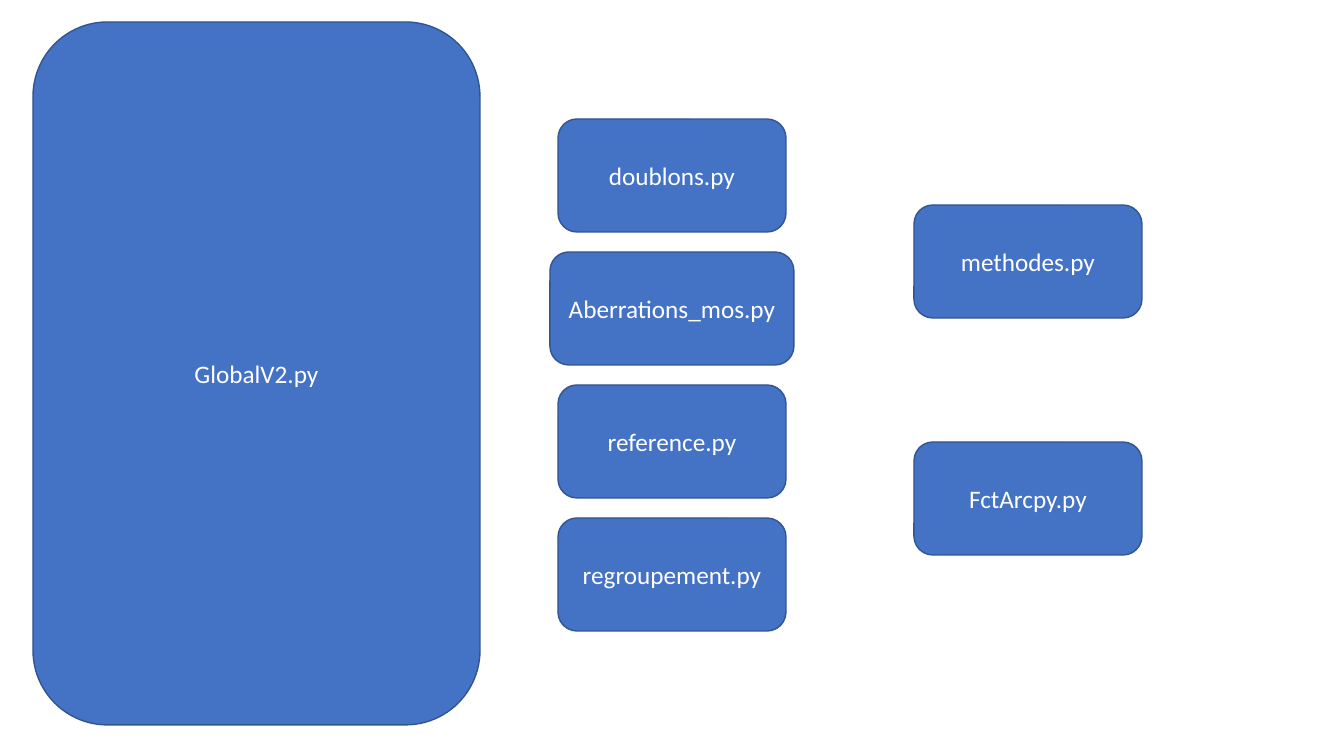
from pptx import Presentation
from pptx import util as u
from pptx.dml.color import RGBColor
from pptx.enum import shapes, text

PIXEL = 914400 / 100.8
SLIDE_WIDTH, SLIDE_HEIGHT = 1344, 756
BLANK_LAYOUT = 6

BLUE = RGBColor(0x44, 0x72, 0xC4)
DARK_BLUE = RGBColor(0x32, 0x54, 0x91)
WHITE = RGBColor(0xFF, 0xFF, 0xFF)

MODULE_WIDTH, WIDE_MODULE_WIDTH, MODULE_HEIGHT = 228, 244, 113
STEP_TOP, STEP_PITCH = 119, 133
STEP_CENTER = SLIDE_WIDTH // 2
HELPER_LEFT, HELPER_TOP, HELPER_PITCH = 914, 205, 237

STEPS = [
    ("doublons.py", MODULE_WIDTH),
    ("Aberrations_mos.py", WIDE_MODULE_WIDTH),
    ("reference.py", MODULE_WIDTH),
    ("regroupement.py", MODULE_WIDTH),
]
HELPERS = ["methodes.py", "FctArcpy.py"]


def px(pixels):
    """Turn pixels into EMU."""
    return u.Emu(round(pixels * PIXEL))


def write_text(shape, content, *, size=18, font="Calibri", color=WHITE,
               align=text.PP_ALIGN.CENTER, anchor=text.MSO_ANCHOR.MIDDLE):
    """Write one formatted paragraph into a shape."""
    frame = shape.text_frame
    frame.word_wrap = True
    frame.vertical_anchor = anchor
    paragraph = frame.paragraphs[0]
    paragraph.alignment = align
    run = paragraph.add_run()
    run.text = content
    run.font.size = u.Pt(size)
    run.font.name = font
    run.font.color.rgb = color


def add_module(slide, name, left, top, width=MODULE_WIDTH, height=MODULE_HEIGHT):
    """Add a rounded box that holds the name of a script."""
    shape = slide.shapes.add_shape(
        shapes.MSO_SHAPE.ROUNDED_RECTANGLE,
        px(left), px(top), px(width), px(height))
    shape.shadow.inherit = False
    shape.fill.solid()
    shape.fill.fore_color.rgb = BLUE
    shape.line.color.rgb = DARK_BLUE
    shape.line.width = u.Pt(1)
    write_text(shape, name)


def main():
    """Build the slide of script modules and save it."""
    presentation = Presentation()
    presentation.slide_width = px(SLIDE_WIDTH)
    presentation.slide_height = px(SLIDE_HEIGHT)
    slide = presentation.slides.add_slide(presentation.slide_layouts[BLANK_LAYOUT])

    add_module(slide, "GlobalV2.py", 33, 22, width=447, height=703)
    for index, (name, width) in enumerate(STEPS):
        add_module(slide, name, STEP_CENTER - width // 2,
                   STEP_TOP + index * STEP_PITCH, width=width)
    for index, name in enumerate(HELPERS):
        add_module(slide, name, HELPER_LEFT, HELPER_TOP + index * HELPER_PITCH)

    presentation.save("out.pptx")


main()
